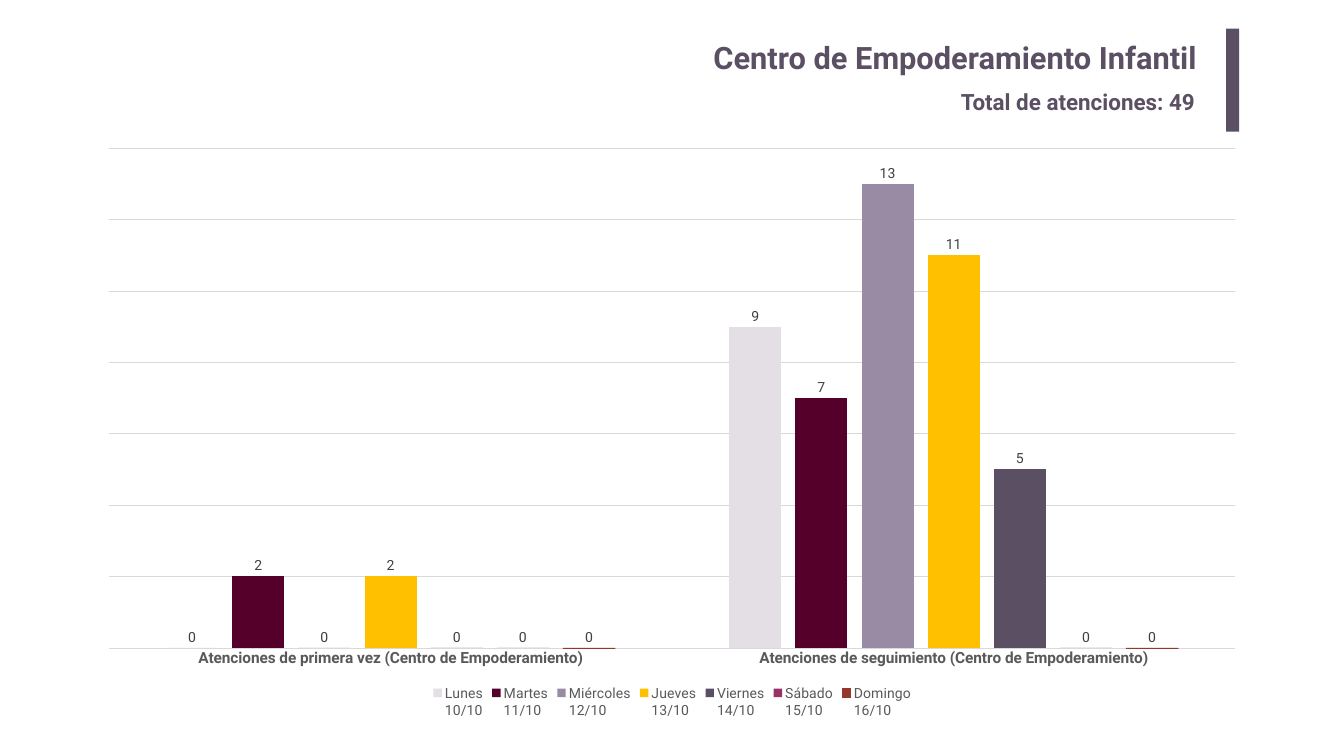
from pptx import Presentation
from pptx.chart.data import CategoryChartData
from pptx.dml.color import RGBColor
from pptx.enum.chart import (XL_CHART_TYPE as ChartType, XL_LABEL_POSITION as LabelPos,
                             XL_LEGEND_POSITION as LegendPos, XL_TICK_MARK as TickMark)
from pptx.enum.shapes import MSO_SHAPE as Shape
from pptx.enum.text import MSO_AUTO_SIZE as AutoSize, PP_ALIGN as Align
from pptx.util import Inches, Pt

WIDTH, HEIGHT = Inches(26.67), Inches(15)
FONT = "Roboto"
COLORS = {"heading": "5B4F63", "axis": "595959", "label": "404040", "grid": "D9D9D9"}
CATEGORIES = ["Atenciones de primera vez (Centro de Empoderamiento)",
              "Atenciones de seguimiento (Centro de Empoderamiento)"]
FIRST_DAY = 10
DAYS = [  # day, first-time and follow-up visits, colour
    ("Lunes", (0, 9), "E3DFE5"),
    ("Martes", (2, 7), "54002A"),
    ("Miércoles", (0, 13), "998BA3"),
    ("Jueves", (2, 11), "FFC000"),
    ("Viernes", (0, 5), "5B4F63"),
    ("Sábado", (0, 0), "993366"),
    ("Domingo", (0, 0), "95372B"),
]


def area(left, top, width, height):
    """Turn shares of the slide's size into lengths."""
    return (int(left * WIDTH), int(top * HEIGHT), int(width * WIDTH), int(height * HEIGHT))


def rgb(code):
    return RGBColor.from_string(code)


def style_font(font, size, color, bold=False):
    font.name, font.size, font.bold = FONT, Pt(size), bold
    font.color.rgb = rgb(color)


def style_line(line, color):
    line.color.rgb = rgb(color)
    line.width = Pt(0.75)


def add_heading(slide, place, text, size, align, inset):
    frame = slide.shapes.add_textbox(*place).text_frame
    frame.word_wrap = True
    frame.margin_left = frame.margin_right = Inches(inset)
    frame.margin_top = frame.margin_bottom = Inches(inset / 2)
    heading = frame.paragraphs[0]
    heading.text, heading.alignment = text, align
    style_font(heading.font, size, COLORS["heading"], bold=True)
    return frame


def add_accent_bar(slide, place):
    bar = slide.shapes.add_shape(Shape.RECTANGLE, *place)
    bar.shadow.inherit = False
    bar.fill.solid()
    bar.fill.fore_color.rgb = rgb(COLORS["heading"])
    bar.line.fill.background()


def style_series(series, color):
    series.format.fill.solid()
    series.format.fill.fore_color.rgb = rgb(color)
    series.invert_if_negative = False
    labels = series.data_labels
    labels.show_value = True
    labels.position = LabelPos.OUTSIDE_END
    style_font(labels.font, 20, COLORS["label"])


def style_axes(chart):
    category_axis, value_axis = chart.category_axis, chart.value_axis
    category_axis.major_tick_mark = category_axis.minor_tick_mark = TickMark.NONE
    style_font(category_axis.tick_labels.font, 22, COLORS["axis"], bold=True)
    style_line(category_axis.format.line, COLORS["grid"])
    value_axis.visible = False
    value_axis.minimum_scale, value_axis.maximum_scale, value_axis.major_unit = 0, 14, 2
    value_axis.has_major_gridlines = True
    style_line(value_axis.major_gridlines.format.line, COLORS["grid"])


def add_visits_chart(slide, place):
    visits = CategoryChartData()
    visits.categories = CATEGORIES
    for date, (day, counts, _) in enumerate(DAYS, FIRST_DAY):
        visits.add_series(f"{day}\n{date}/10", counts)
    chart = slide.shapes.add_chart(ChartType.COLUMN_CLUSTERED, *place, visits).chart
    style_font(chart.font, 10, "000000")
    chart.has_title = False
    plot = chart.plots[0]
    plot.gap_width, plot.overlap, plot.vary_by_categories = 219, -27, False
    for series, (_, _, color) in zip(plot.series, DAYS):
        style_series(series, color)
    style_line(plot.series[-1].format.line, DAYS[-1][2])
    style_axes(chart)
    chart.has_legend = True
    chart.legend.position = LegendPos.BOTTOM
    chart.legend.include_in_layout = False
    style_font(chart.legend.font, 20, COLORS["axis"])


def main():
    deck = Presentation()
    deck.slide_width, deck.slide_height = WIDTH, HEIGHT
    slide = deck.slides.add_slide(deck.slide_layouts[6])
    title = add_heading(slide, area(0.1372, 0.0447, 0.7612, 0.068),
                        "Centro de Empoderamiento Infantil", 44, Align.RIGHT, 0.2)
    title.paragraphs[0].space_before = Pt(8.8)
    add_accent_bar(slide, area(0.9123, 0.038, 0.0097, 0.136))
    total = add_heading(slide, area(0.7113, 0.1127, 0.1894, 0.0427),
                        "Total de atenciones: 49", 32, Align.LEFT, 0.1)
    total.auto_size = AutoSize.SHAPE_TO_FIT_TEXT
    add_visits_chart(slide, area(0.0637, 0.1807, 0.8729, 0.7747))
    deck.save("out.pptx")


if __name__ == "__main__":
    main()
